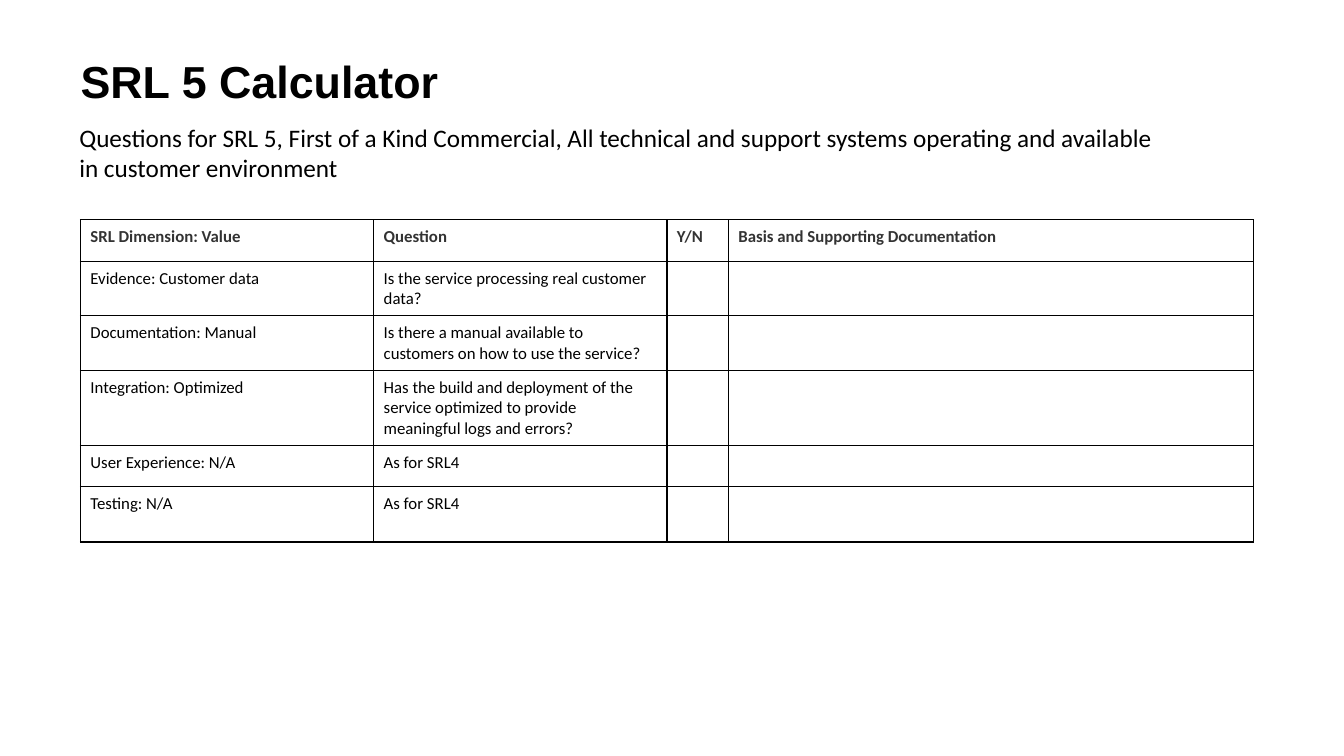
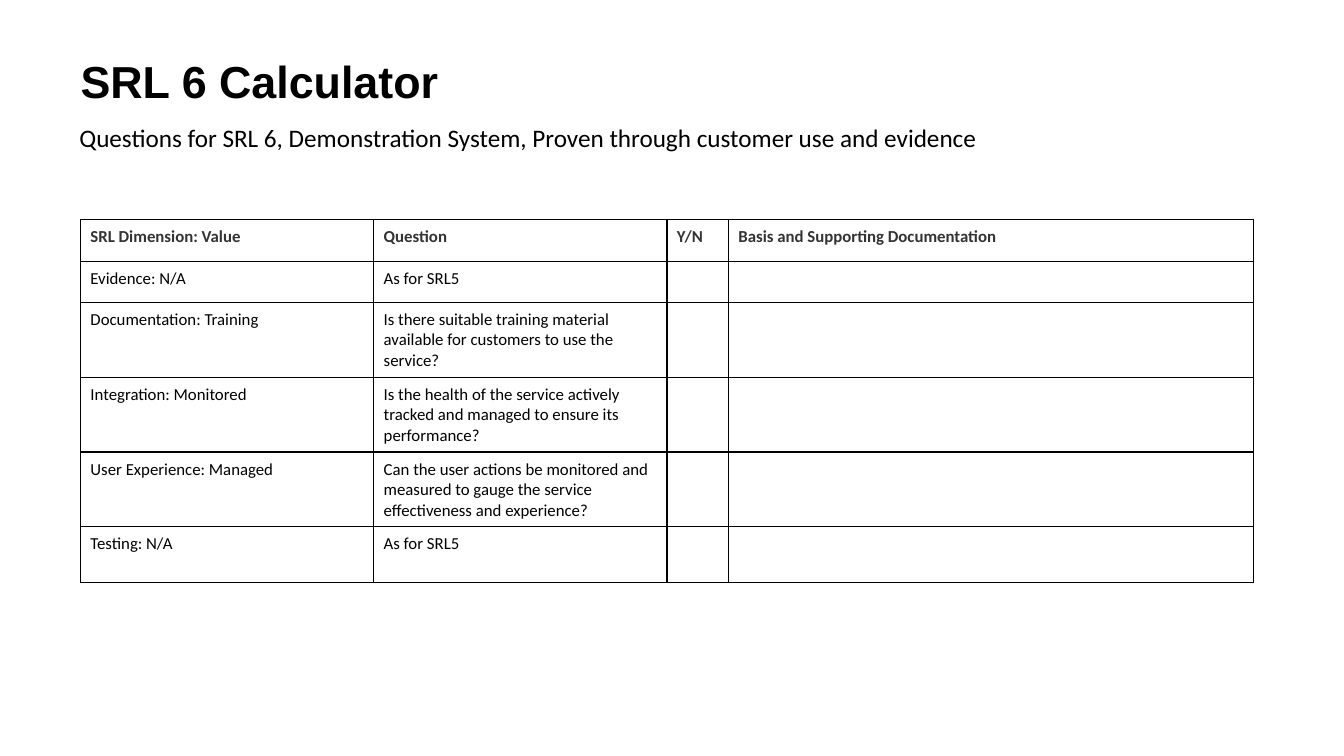
from lxml import etree
from pptx import Presentation
from pptx.dml.color import RGBColor
from pptx.enum.text import MSO_ANCHOR, MSO_AUTO_SIZE
from pptx.oxml.ns import qn
from pptx.util import Cm, Pt

MIDDLE, TOP = MSO_ANCHOR.MIDDLE, MSO_ANCHOR.TOP
GROW = MSO_AUTO_SIZE.SHAPE_TO_FIT_TEXT

# Content
HEADINGS = ("SRL Dimension: Value", "Question", "Y/N",
            "Basis and Supporting Documentation")
CALCULATORS = [
    {"title": "SRL 5 Calculator",
     "summary": "Questions for SRL 5, First of a Kind Commercial, All technical "
                "and support systems operating and available in customer environment",
     "summary_height": 1.8,
     "questions": [
         ("Evidence: Customer data", "Is the service processing real customer data?"),
         ("Documentation: Manual",
          "Is there a manual available to customers on how to use the service?"),
         ("Integration: Optimized",
          "Has the build and deployment of the service optimized to provide "
          "meaningful logs and errors?"),
         ("User Experience: N/A", "As for SRL4"),
         ("Testing: N/A", "As for SRL4"),
     ]},
    {"title": "SRL 6 Calculator",
     "summary": "Questions for SRL 6, Demonstration System, Proven through "
                "customer use and evidence",
     "summary_height": 1.02,
     "questions": [
         ("Evidence: N/A", "As for SRL5"),
         ("Documentation: Training",
          "Is there suitable training material available for customers to use "
          "the service?"),
         ("Integration: Monitored",
          "Is the health of the service actively tracked and managed to ensure "
          "its performance?"),
         ("User Experience: Managed",
          "Can the user actions be monitored and measured to gauge the service "
          "effectiveness and experience?"),
         ("Testing: N/A", "As for SRL5"),
     ]},
]

# Theme: text styles, insets in cm (left, top, right, bottom), border
THEME = {
    "title": {"name": "Arial", "size": Pt(32), "bold": True, "color": "000000"},
    "summary": {"name": "Calibri", "size": Pt(18), "bold": False, "color": "000000"},
    "heading": {"name": "Calibri", "size": Pt(12), "bold": True, "color": "333333"},
    "body": {"name": "Calibri", "size": Pt(12), "bold": False, "color": "000000"},
    "border": {"color": "000000", "width": Pt(1)},
}
INSETS = {
    "title": (0, 0, 0, 0.2),
    "summary": (0.25, 0.13, 0.25, 0.13),
    "heading": (0.25, 0.18, 0.41, 0.18),
    "body": (0.25, 0.18, 0.25, 0.18),
}

# Layout in cm
SLIDE_SIZE = (33.87, 19.05)
TITLE_BOX = (2.03, 1.35, 29.77, 1.57)
SUMMARY_LEFT, SUMMARY_TOP, SUMMARY_WIDTH = 1.75, 2.95, 27.76
TABLE_LEFT, TABLE_TOP = 2.03, 5.54
COLUMN_WIDTHS = (7.39, 7.39, 1.55, 13.23)
ROW_HEIGHT, LAST_ROW_HEIGHT = 1.04, 1.4


def write(paragraph, text, style):
    run = paragraph.add_run()
    run.text = text
    for attribute, value in THEME[style].items():
        if attribute == "color":
            run.font.color.rgb = RGBColor.from_string(value)
        else:
            setattr(run.font, attribute, value)


def set_insets(target, style):
    for side, inset in zip(("left", "top", "right", "bottom"), INSETS[style]):
        setattr(target, f"margin_{side}", Cm(inset))


def add_text(slide, box, text, style, anchor):
    frame = slide.shapes.add_textbox(*map(Cm, box)).text_frame
    frame.word_wrap = True
    frame.auto_size = GROW
    frame.vertical_anchor = anchor
    set_insets(frame, style)
    write(frame.paragraphs[0], text, style)


def add_borders(cell):
    properties = cell._tc.get_or_add_tcPr()
    for edge in ("a:lnL", "a:lnR", "a:lnT", "a:lnB"):
        line = etree.SubElement(properties, qn(edge), w=str(THEME["border"]["width"]))
        fill = etree.SubElement(line, qn("a:solidFill"))
        etree.SubElement(fill, qn("a:srgbClr"), val=THEME["border"]["color"])


def fill_cell(cell, text, style):
    set_insets(cell, style)
    add_borders(cell)
    cell.fill.background()
    paragraph = cell.text_frame.paragraphs[0]
    if text:
        write(paragraph, text, style)
    else:
        # Keep an unanswered cell as low as one line of body text
        size = str(int(THEME[style]["size"].pt * 100))
        etree.SubElement(paragraph._p, qn("a:endParaRPr"), sz=size)


def add_question_table(slide, questions):
    rows = [HEADINGS] + [(*question, "", "") for question in questions]
    heights = [ROW_HEIGHT] * len(questions) + [LAST_ROW_HEIGHT]
    table = slide.shapes.add_table(
        len(rows), len(HEADINGS), Cm(TABLE_LEFT), Cm(TABLE_TOP),
        Cm(sum(COLUMN_WIDTHS)), Cm(sum(heights))).table
    table.horz_banding = False
    for column, width in zip(table.columns, COLUMN_WIDTHS):
        column.width = Cm(width)
    for r, (row, height) in enumerate(zip(rows, heights)):
        table.rows[r].height = Cm(height)
        for c, text in enumerate(row):
            fill_cell(table.cell(r, c), text, "body" if r else "heading")


# Slides
deck = Presentation()
deck.slide_width, deck.slide_height = map(Cm, SLIDE_SIZE)
blank = deck.slide_layouts[6]
for calculator in CALCULATORS:
    slide = deck.slides.add_slide(blank)
    add_text(slide, TITLE_BOX, calculator["title"], "title", MIDDLE)
    add_question_table(slide, calculator["questions"])
    summary_box = (SUMMARY_LEFT, SUMMARY_TOP, SUMMARY_WIDTH,
                   calculator["summary_height"])
    add_text(slide, summary_box, calculator["summary"], "summary", TOP)

deck.save("out.pptx")
